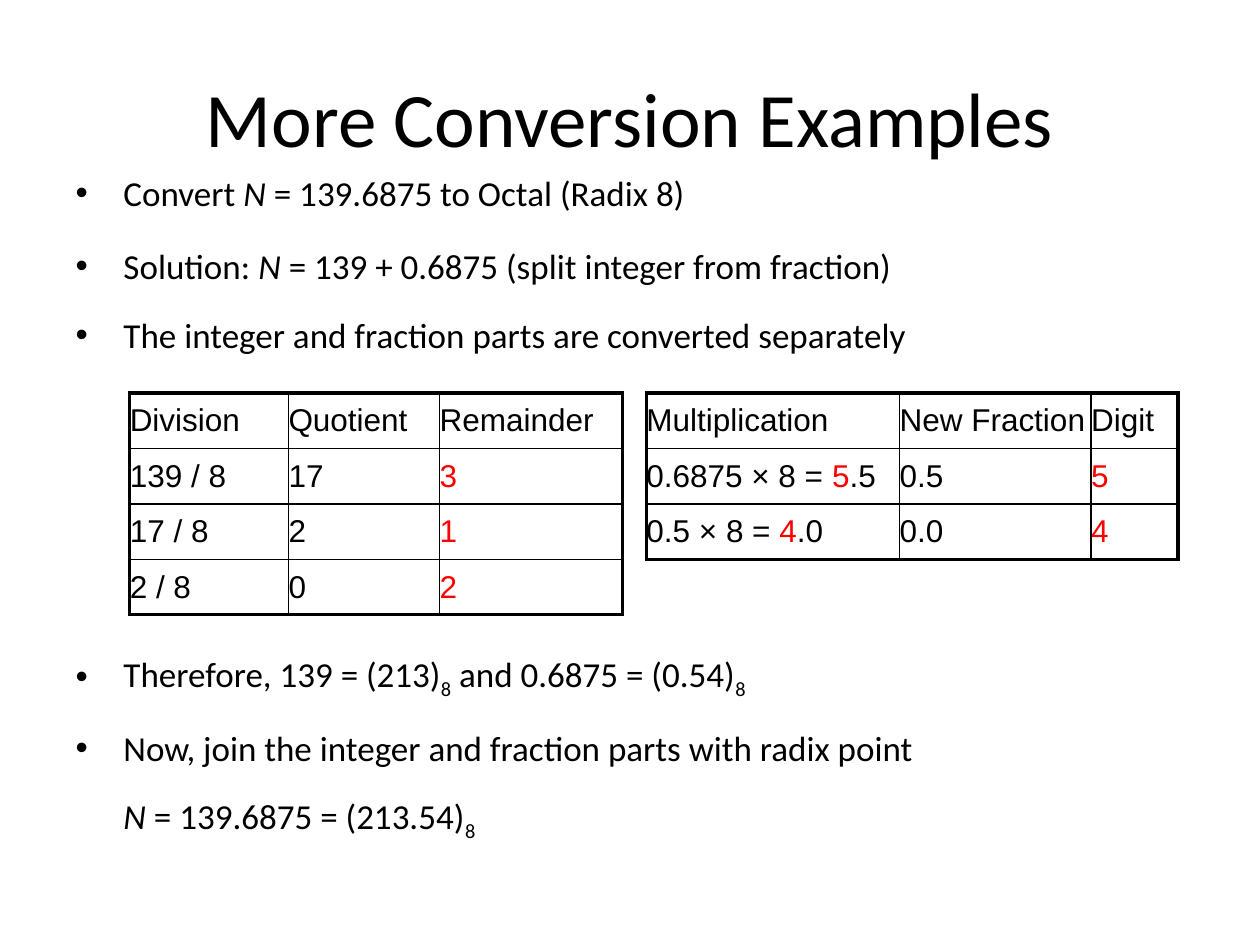
from lxml import etree
from pptx import Presentation
from pptx.dml.color import RGBColor
from pptx.enum import text
from pptx.oxml import ns
from pptx.util import Inches, Pt

BLACK, RED = "000000", "FF0000"
STEPS = [
    (0, [("Convert ", ""), ("N", "italic"), (" = 139.6875 to Octal (Radix 8)", "")]),
    (18, [("Solution: ", ""), ("N", "italic"),
          (" = 139 + 0.6875 (split integer from fraction)", "")]),
    (15, [("The integer and fraction parts are converted separately", "")]),
    (170, [("Therefore, 139 = (213)", ""), ("8", "sub"),
           (" and 0.6875 = (0.54)", ""), ("8", "sub")]),
    (15, [("Now, join the integer and fraction parts with radix point", "")]),
    (15, [("N", "italic"), (" = 139.6875 = (213.54)", ""), ("8", "sub")]),
]
FRACTION_ROWS = [
    ["Multiplication", "New Fraction", "Digit"],
    [[("0.6875 × 8 = ", ""), ("5", "red"), (".5", "")], "0.5", [("5", "red")]],
    [[("0.5 × 8 = ", ""), ("4", "red"), (".0", "")], "0.0", [("4", "red")]],
]
INTEGER_ROWS = [
    ["Division", "Quotient", "Remainder"],
    ["139 / 8", "17", [("3", "red")]],
    ["17 / 8", "2", [("1", "red")]],
    ["2 / 8", "0", [("2", "red")]],
]


def color(value):
    """Return the colour for a hex string."""
    return RGBColor.from_string(value)


def set_font(paragraph, name, size):
    """Set the shared font of a paragraph."""
    paragraph.font.name = name
    paragraph.font.size = Pt(size)
    paragraph.font.color.rgb = color(BLACK)


def add_spans(paragraph, spans):
    """Add styled spans of text to a paragraph."""
    for words, style in spans:
        span = paragraph.add_run()
        span.text = words
        if style == "italic":
            span.font.italic = True
        elif style == "red":
            span.font.color.rgb = color(RED)
        elif style == "sub":
            span.font._element.set("baseline", "-25000")


def place(box, left, top, width, height):
    """Position a placeholder, in inches."""
    box.left, box.top = Inches(left), Inches(top)
    box.width, box.height = Inches(width), Inches(height)
    box.text_frame.auto_size = text.MSO_AUTO_SIZE.NONE


def fill_title(box, words):
    """Write the slide title."""
    place(box, 0.5, 0.3, 9, 1.25)
    box.text_frame.vertical_anchor = text.MSO_ANCHOR.MIDDLE
    paragraph = box.text_frame.paragraphs[0]
    paragraph.alignment = text.PP_ALIGN.CENTER
    add_spans(paragraph, [(words, "")])
    set_font(paragraph, "Calibri", 44)


def fill_body(box, steps):
    """Write the bulleted steps, with the closing result unbulleted."""
    place(box, 0.5, 1.31, 9, 6.11)
    frame = box.text_frame
    for index, (space, spans) in enumerate(steps):
        paragraph = frame.add_paragraph() if index else frame.paragraphs[0]
        paragraph.space_before = Pt(space)
        last = index == len(steps) - 1
        properties = paragraph._p.get_or_add_pPr()
        properties.set("marL", str(Inches(0.38)))
        properties.set("indent", str(0 if last else -Inches(0.38)))
        if last:
            etree.SubElement(properties, ns.qn("a:buNone"))
        else:
            etree.SubElement(properties, ns.qn("a:buChar"), char="•")
        add_spans(paragraph, spans)
        set_font(paragraph, "Calibri", 20)


def set_borders(cell, widths):
    """Draw the left, right, top and bottom borders of a cell."""
    properties = cell._tc.get_or_add_tcPr()
    for index, (side, width) in enumerate(zip("LRTB", widths)):
        line = etree.Element(ns.qn(f"a:ln{side}"), w=str(Pt(width)))
        fill = etree.SubElement(line, ns.qn("a:solidFill"))
        etree.SubElement(fill, ns.qn("a:srgbClr"), val=BLACK)
        properties.insert(index, line)


def add_grid(page, left, widths, rows):
    """Add a table with a thick frame and thin inner lines."""
    height = 0.44
    table = page.shapes.add_table(
        len(rows), len(widths), Inches(left), Inches(3.12),
        Inches(sum(widths)), Inches(height * len(rows))).table
    table.first_row = table.horz_banding = False
    for column, width in zip(table.columns, widths):
        column.width = Inches(width)
    for y, row in enumerate(rows):
        table.rows[y].height = Inches(height)
        for x, content in enumerate(row):
            cell = table.cell(y, x)
            cell.margin_left = cell.margin_right = 0
            cell.margin_top = cell.margin_bottom = 0
            cell.vertical_anchor = text.MSO_ANCHOR.MIDDLE
            cell.fill.background()
            edges = (x == 0, x == len(row) - 1, y == 0, y == len(rows) - 1)
            set_borders(cell, [2.25 if edge else 1 for edge in edges])
            paragraph = cell.text_frame.paragraphs[0]
            add_spans(paragraph, [(content, "")] if isinstance(content, str) else content)
            set_font(paragraph, "Arial", 18)


def main():
    """Build the slide and save the deck."""
    deck = Presentation()
    deck.slide_width, deck.slide_height = Inches(10), Inches(7.5)
    page = deck.slides.add_slide(deck.slide_layouts[1])
    fill_title(page.shapes.title, "More Conversion Examples")
    fill_body(page.placeholders[1], STEPS)
    add_grid(page, 5.13, [2.01, 1.52, 0.69], FRACTION_ROWS)
    add_grid(page, 1.03, [1.26, 1.2, 1.45], INTEGER_ROWS)
    deck.save("out.pptx")


if __name__ == "__main__":
    main()
